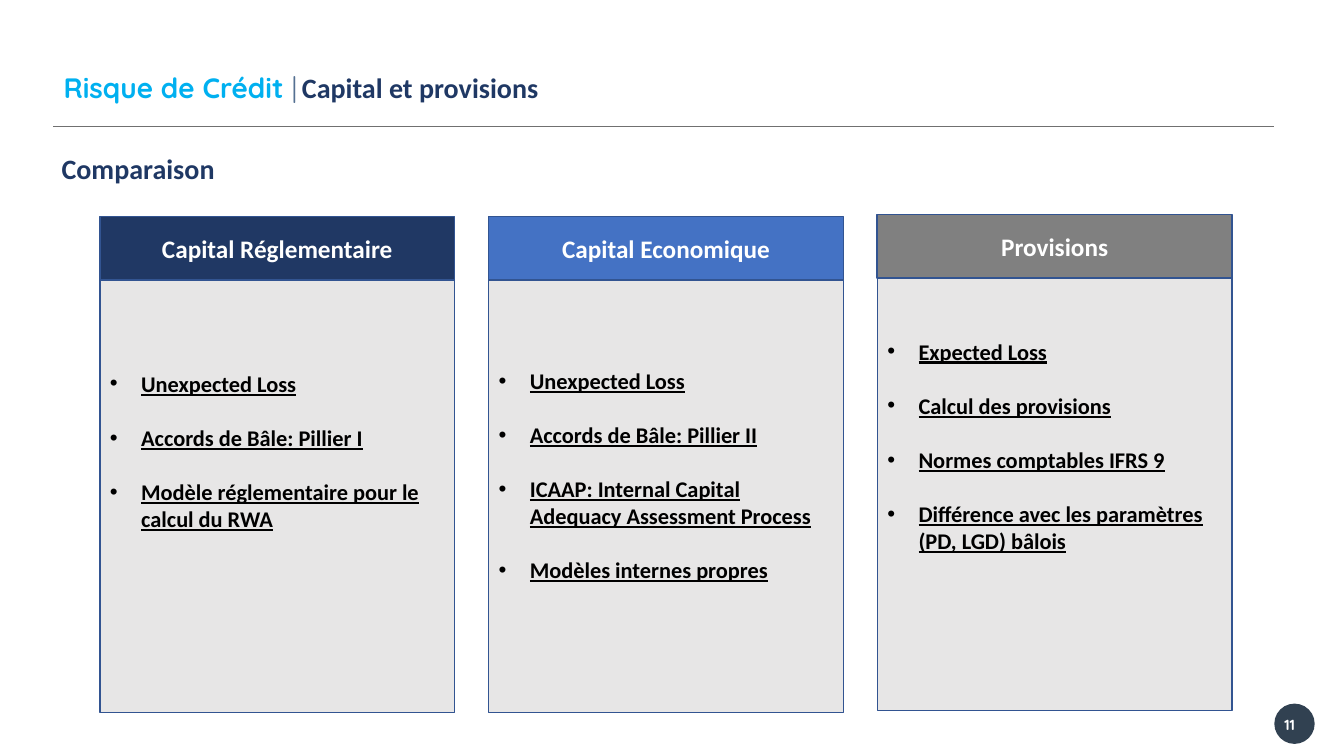
import pptx
import pptx.util
import pptx.dml.color
import pptx.enum.shapes
import pptx.enum.text
import pptx.oxml.ns
import lxml.etree

WIDE = pptx.util.Inches(13.33)
HIGH = pptx.util.Inches(7.5)
COL = WIDE / 100
ROW = HIGH / 100
INK = {
    "sky": "00B0F0", "slate": "547092", "navy": "1F3864", "deep": "203864",
    "blue": "4472C4", "gray": "808080", "pale": "E7E6E6", "edge": "325491",
    "rule": "707070", "badge": "314151", "white": "FFFFFF", "black": "000000",
}
CARDS = [
    ("Capital Réglementaire", "deep", 28.67, 3.33, 16.93, [
        "Unexpected Loss",
        "Accords de Bâle: Pillier I",
        "Modèle réglementaire pour le calcul du RWA"]),
    ("Capital Economique", "blue", 28.67, 8.4, 11.47, [
        "Unexpected Loss",
        "Accords de Bâle: Pillier II",
        "ICAAP: Internal Capital Adequacy Assessment Process",
        "Modèles internes propres"]),
    ("Provisions", "gray", 28.4, 8.4, 7.87, [
        "Expected Loss",
        "Calcul des provisions",
        "Normes comptables IFRS 9",
        "Différence avec les paramètres (PD, LGD) bâlois"]),
]


def tint(name):
    return pptx.dml.color.RGBColor.from_string(INK[name])


def add(tag, parent, **atts):
    return lxml.etree.SubElement(parent, pptx.oxml.ns.qn(tag), atts)


def place(shape, box):
    x, y, w, h = box
    shape.left, shape.top = round(x * COL), round(y * ROW)
    shape.width, shape.height = round(w * COL), round(h * ROW)


def paint(shape, fill, edge=None):
    shape.fill.solid()
    shape.fill.fore_color.rgb = tint(fill)
    if edge:
        shape.line.color.rgb = tint(edge)
        shape.line.width = pptx.util.Pt(1)
    else:
        shape.line.fill.background()


def frame(shape, mid=False):
    body = shape.text_frame
    body.word_wrap = True
    body.auto_size = pptx.enum.text.MSO_AUTO_SIZE.NONE
    anchor = pptx.enum.text.MSO_ANCHOR
    body.vertical_anchor = anchor.MIDDLE if mid else anchor.TOP
    return body


def text(para, words, size=20, ink="navy", font="Calibri", bold=True,
         under=False, align="LEFT"):
    para.alignment = getattr(pptx.enum.text.PP_ALIGN, align)
    para.space_before = pptx.util.Pt(0)
    run = para.add_run()
    run.text = words
    run.font.size = pptx.util.Pt(size)
    run.font.name = font
    run.font.bold = bold
    run.font.underline = under
    run.font.color.rgb = tint(ink)


def indent(para, left, first):
    props = para._p.get_or_add_pPr()
    props.set("marL", str(pptx.util.Inches(left)))
    props.set("indent", str(pptx.util.Inches(first)))
    return props


def shape(slide, kind, box, fill, edge=None):
    item = slide.shapes.add_shape(kind, 0, 0, 0, 0)
    place(item, box)
    item.shadow.inherit = False
    paint(item, fill, edge)
    return item


def head(slide, box):
    x, y, w, h = box
    title = slide.shapes.title
    place(title, box)
    para = frame(title).paragraphs[0]
    text(para, "Risque de Crédit ", ink="sky", font="Quicksand", align="JUSTIFY")
    text(para, "|", ink="slate", font="Quicksand", bold=False, align="JUSTIFY")
    text(para, " ", size=12, ink="slate", font="Quicksand", bold=False, align="JUSTIFY")
    text(para, "Capital et provisions", align="JUSTIFY")
    indent(para, 0.02, 0)
    line = slide.shapes.add_connector(
        pptx.enum.shapes.MSO_CONNECTOR.STRAIGHT,
        round((x + 0.15) * COL), round((y + 8) * ROW),
        round((x + 90.99) * COL), round((y + 8) * ROW))
    line.line.color.rgb = tint("rule")
    line.line.width = pptx.util.Pt(0.5)
    add("a:effectLst", line._element.spPr)


def label(holder, box):
    place(holder, box)
    para = frame(holder).paragraphs[0]
    text(para, "Comparaison")
    indent(para, 0, 0)


def card(slide, holder, box, name, fill, start, lead, items):
    x, y, w, h = box
    place(holder, (x, y + start, w, h - start))
    paint(holder, "pale", "edge")
    body = frame(holder)
    body.margin_top = round(lead * ROW)
    for i, item in enumerate(items):
        para = body.add_paragraph() if i else body.paragraphs[0]
        text(para, item, size=16, ink="black", under=True)
        para.space_after = pptx.util.Pt(19.5)
        props = indent(para, 0.31, -0.31)
        add("a:buFont", props, typeface="Arial")
        add("a:buChar", props, char="•")
    top = shape(slide, pptx.enum.shapes.MSO_SHAPE.RECTANGLE,
                (x, y, w, 8.4), fill, "edge")
    text(frame(top, mid=True).paragraphs[0], name, size=18, ink="white",
         align="CENTER")


def badge(slide, box):
    x, y, w, h = box
    shape(slide, pptx.enum.shapes.MSO_SHAPE.OVAL, box, "badge")
    num = slide.shapes.add_textbox(0, 0, 0, 0)
    place(num, (x, y + 0.93, w + 0.75, 4))
    text(frame(num).paragraphs[0], "11", size=10.5, ink="white",
         font="Quicksand")


def main():
    deck = pptx.Presentation()
    deck.slide_width, deck.slide_height = WIDE, HIGH
    slide = deck.slides.add_slide(deck.slide_layouts.get_by_name("Comparison"))
    head(slide, (3.83, 8.67, 91.97, 5.87))
    label(slide.placeholders[1], (3.83, 19.33, 89.95, 5.87))
    for i, (name, fill, top, start, lead, items) in enumerate(CARDS):
        box = (7.43 + i * 28.92, top, 26.41, 65.6)
        card(slide, slide.placeholders[i + 2], box, name, fill, start, lead, items)
    badge(slide, (94.82, 93.07, 3, 5.33))
    deck.save("out.pptx")


if __name__ == "__main__":
    main()
